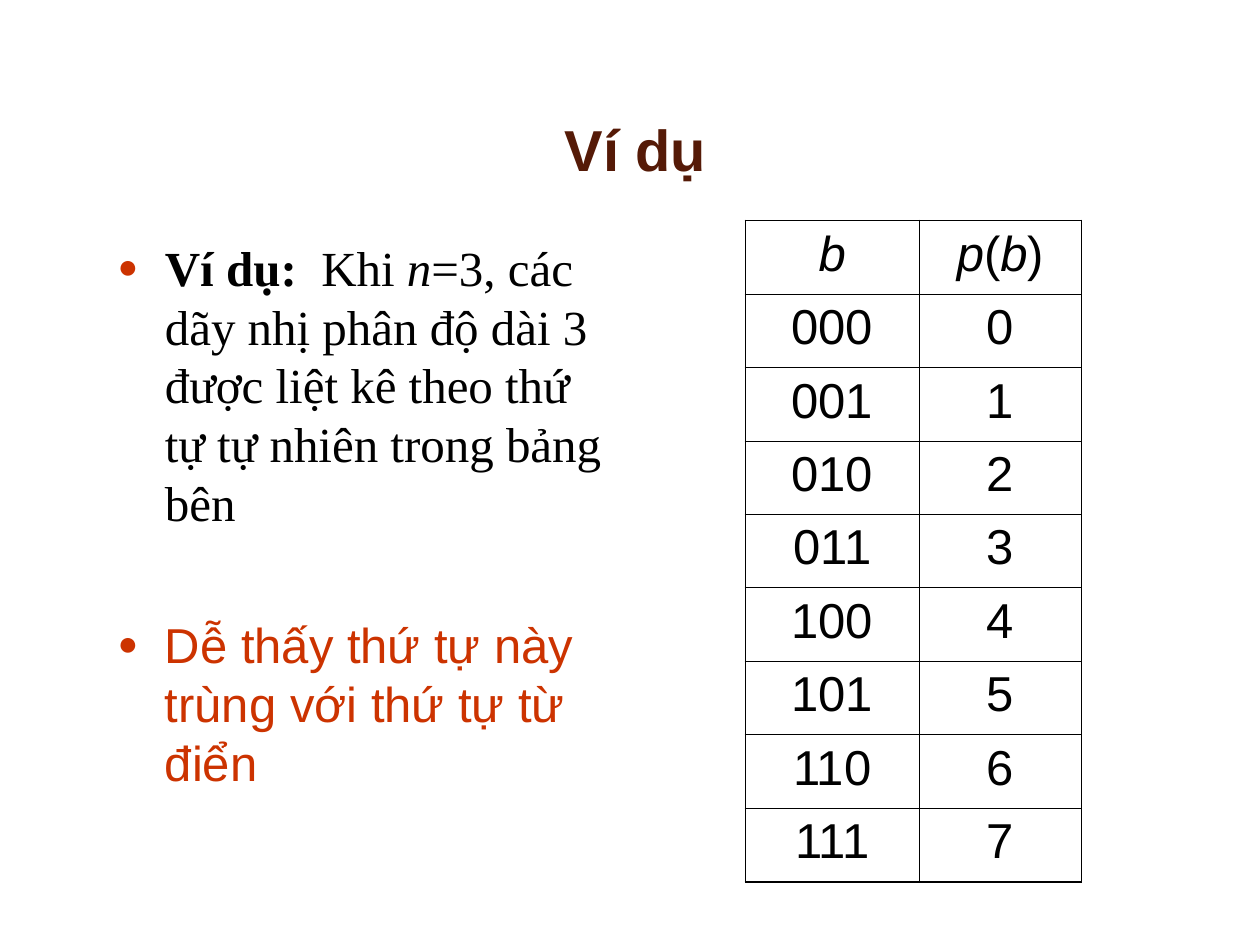
import dataclasses
import lxml.etree
import pptx
import pptx.dml.color
import pptx.enum.text
import pptx.oxml
import pptx.oxml.ns
import pptx.util

Pt = pptx.util.Pt
COLORS = {"title": "551A07", "text": "000000", "accent": "CC3300"}
BODY_SIZE = 28
CENTER = pptx.enum.text.PP_ALIGN.CENTER
OUTER_LINE, INNER_LINE = 1.08, 0.45


@dataclasses.dataclass(frozen=True)
class Piece:
    text: str
    font: str = "Arial"
    color: str = "text"
    size: float = BODY_SIZE
    bold: bool = False
    italic: bool = False


@dataclasses.dataclass(frozen=True)
class Bullet:
    pieces: tuple[Piece, ...]
    space_before: float


def write_pieces(paragraph, pieces: tuple[Piece, ...]) -> None:
    for piece in pieces:
        run = paragraph.add_run()
        run.text = piece.text
        run.font.name = piece.font
        run.font.size = Pt(piece.size)
        run.font.bold = piece.bold
        run.font.italic = piece.italic
        run.font.color.rgb = pptx.dml.color.RGBColor.from_string(COLORS[piece.color])


def place(shape, left: float, top: float, width: float, height: float) -> None:
    shape.left, shape.top, shape.width, shape.height = map(Pt, (left, top, width, height))
    shape.text_frame.word_wrap = True
    shape.text_frame.auto_size = pptx.enum.text.MSO_AUTO_SIZE.NONE


def add_xml(parent, xml: str) -> None:
    namespace = pptx.oxml.ns.nsdecls("a")
    for child in pptx.oxml.parse_xml(f"<a:wrap {namespace}>{xml}</a:wrap>"):
        parent.append(child)


def write_bullet(paragraph, bullet: Bullet) -> None:
    write_pieces(paragraph, bullet.pieces)
    paragraph.space_before = Pt(bullet.space_before)
    properties = paragraph._p.get_or_add_pPr()
    properties.set("marL", str(Pt(27)))
    properties.set("indent", str(-Pt(27)))
    add_xml(
        properties,
        f'<a:buClr><a:srgbClr val="{COLORS["accent"]}"/></a:buClr>'
        '<a:buSzPct val="70000"/><a:buFont typeface="Arial"/><a:buChar char="●"/>',
    )


def border_cell(cell, widths: dict[str, float]) -> None:
    properties = cell._tc.get_or_add_tcPr()
    for side, width in widths.items():
        add_xml(
            properties,
            f'<a:{side} w="{Pt(width)}"><a:solidFill>'
            f'<a:srgbClr val="{COLORS["text"]}"/></a:solidFill></a:{side}>',
        )
    cell.fill.background()


def add_order_table(slide, rows: list[tuple[tuple[Piece, ...], ...]]) -> None:
    column_widths = (99.25, 92.75)
    row_height = 42
    table = slide.shapes.add_table(
        len(rows), len(column_widths), Pt(426), Pt(126),
        Pt(sum(column_widths)), Pt(row_height * len(rows)),
    ).table
    table.first_row = table.horz_banding = False
    for column, width in zip(table.columns, column_widths):
        column.width = Pt(width)
    for r, row in enumerate(rows):
        table.rows[r].height = Pt(row_height)
        for c, pieces in enumerate(row):
            cell = table.cell(r, c)
            paragraph = cell.text_frame.paragraphs[0]
            paragraph.alignment = CENTER
            paragraph.space_before = Pt(7)
            write_pieces(paragraph, pieces)
            edges = {
                "lnL": c == 0,
                "lnR": c == len(row) - 1,
                "lnT": r == 0,
                "lnB": r == len(rows) - 1,
            }
            border_cell(cell, {
                side: OUTER_LINE if outer else INNER_LINE for side, outer in edges.items()
            })


def main() -> None:
    presentation = pptx.Presentation()
    presentation.slide_width, presentation.slide_height = Pt(720), Pt(540)
    slide = presentation.slides.add_slide(presentation.slide_layouts[1])

    title = slide.shapes.title
    place(title, 60, 30, 606, 78)
    title.text_frame.vertical_anchor = pptx.enum.text.MSO_ANCHOR.BOTTOM
    heading = title.text_frame.paragraphs[0]
    heading.alignment = CENTER
    write_pieces(heading, (Piece("Ví dụ", color="title", size=33, bold=True),))

    serif = "Times New Roman"
    bullets = (
        Bullet((
            Piece("Ví dụ:", serif, bold=True),
            Piece("  Khi ", serif),
            Piece("n", serif, italic=True),
            Piece("=3, các dãy nhị phân độ dài 3 được liệt kê theo thứ tự "
                  "tự nhiên trong bảng bên", serif),
        ), 7),
        Bullet((Piece("Dễ thấy thứ tự này trùng với thứ tự từ điển", color="accent"),), 47.5),
    )
    body = slide.placeholders[1]
    place(body, 60, 132, 297, 354)
    for i, bullet in enumerate(bullets):
        frame = body.text_frame
        write_bullet(frame.add_paragraph() if i else frame.paragraphs[0], bullet)

    header = (
        (Piece("b", italic=True),),
        (Piece("p", italic=True), Piece("("), Piece("b", italic=True), Piece(")")),
    )
    order = [((Piece(f"{n:03b}"),), (Piece(str(n)),)) for n in range(8)]
    add_order_table(slide, [header, *order])

    presentation.save("out.pptx")


if __name__ == "__main__":
    main()
